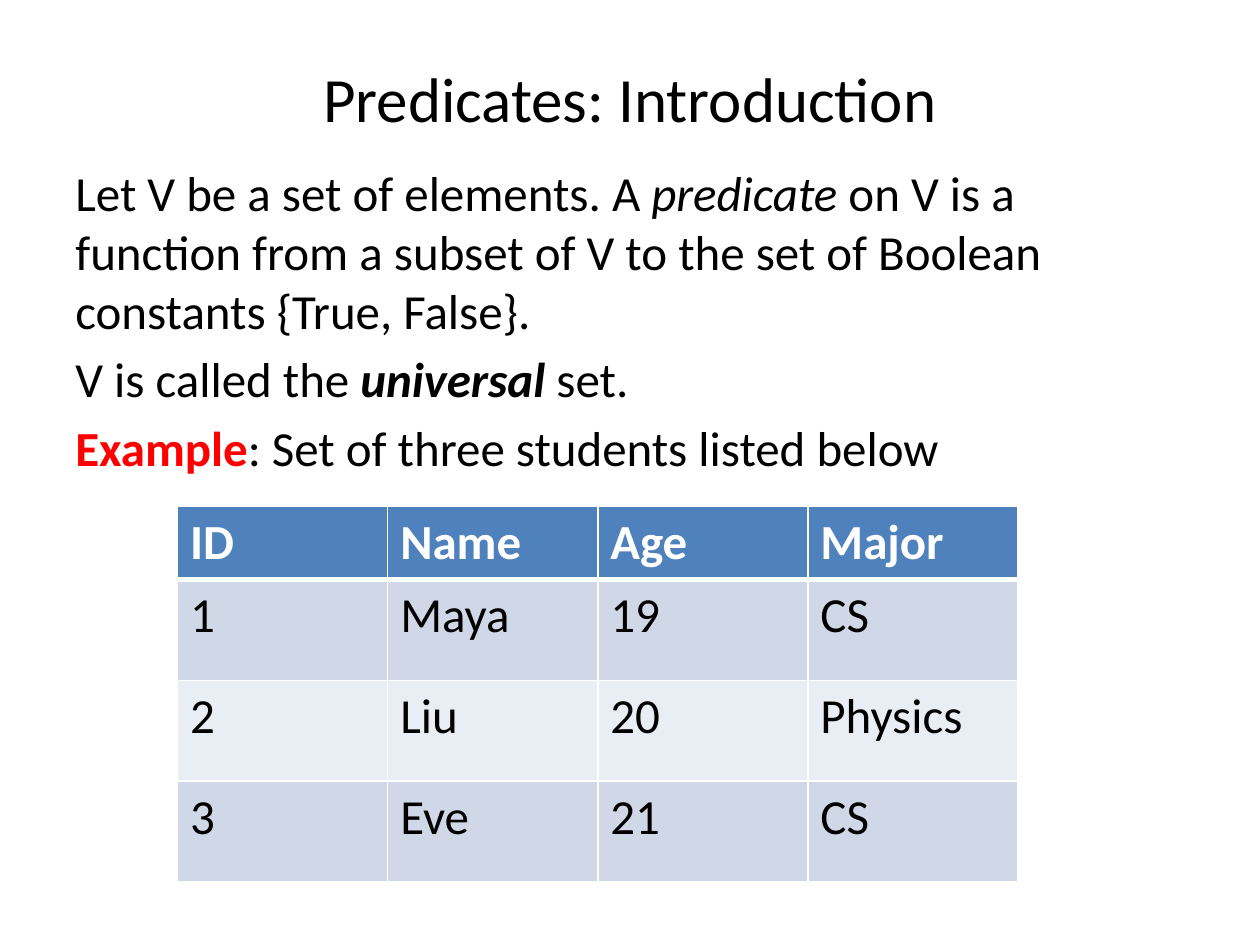
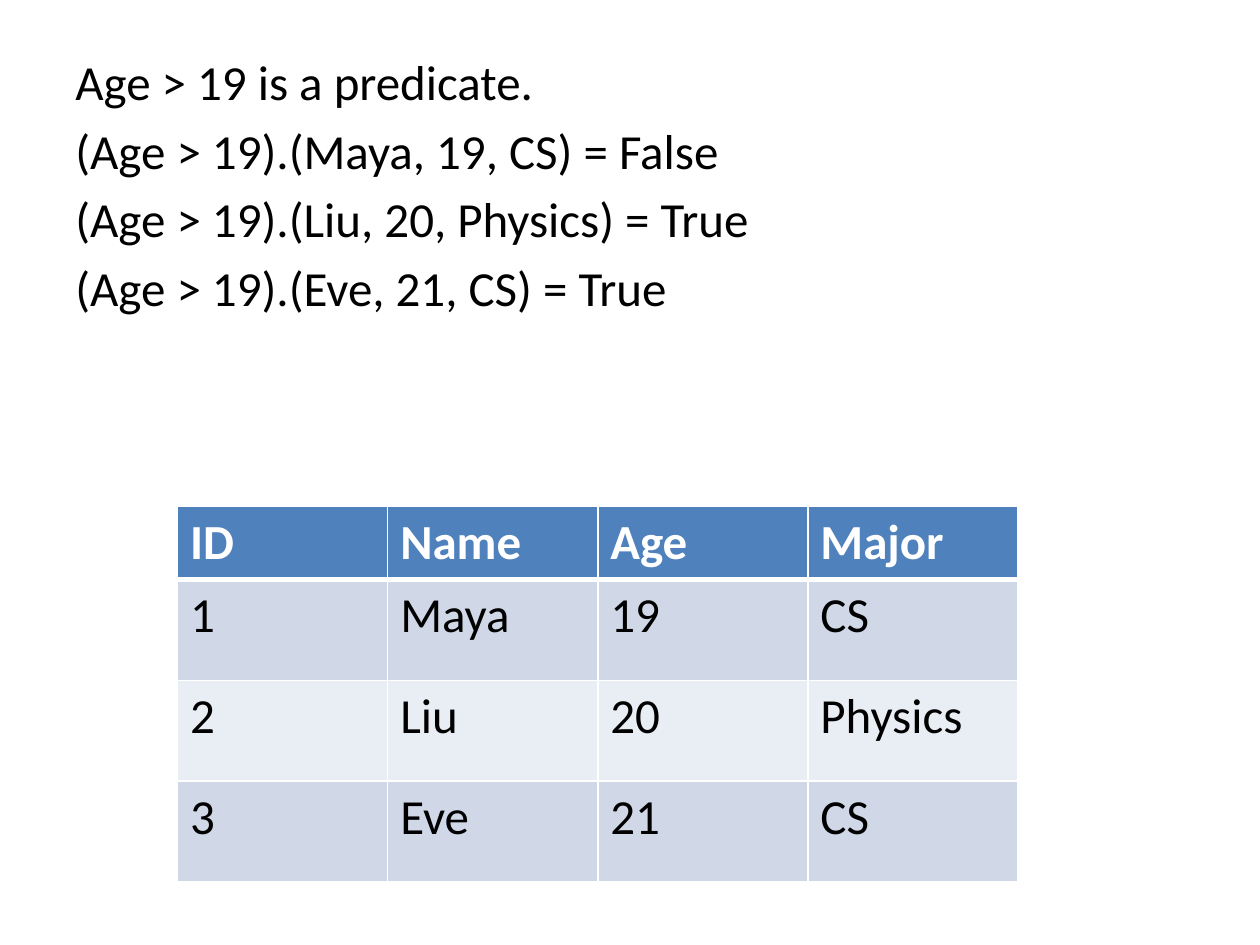
from lxml import etree
from pptx import Presentation
from pptx.dml.color import RGBColor
from pptx.enum import text as t
from pptx.oxml.ns import qn
from pptx.util import Inches, Pt

FONT, SIZE = "Calibri", 28
BLACK, WHITE, RED, BLUE = "000000", "FFFFFF", "FF0000", "4F81BD"
BANDS = ("D0D8E8", "E9EDF4")
GRID = (1.41, 4.02, 6.67, 2.98)
HEAD = 0.58
STUDENTS = [
    ("ID", "Name", "Age", "Major"),
    ("1", "Maya", "19", "CS"),
    ("2", "Liu", "20", "Physics"),
    ("3", "Eve", "21", "CS"),
]


def color(code):
    return RGBColor.from_string(code)


def style(run, size=SIZE, ink=BLACK, bold=False, italic=False):
    font = run.font
    font.name, font.size = FONT, Pt(size)
    font.bold, font.italic = bold, italic
    font.color.rgb = color(ink)


def frame(slide, box, anchor=t.MSO_ANCHOR.TOP):
    area = slide.shapes.add_textbox(*map(Inches, box)).text_frame
    area.word_wrap = True
    area.auto_size = t.MSO_AUTO_SIZE.NONE
    area.vertical_anchor = anchor
    return area


def title(slide, box, words):
    area = frame(slide, box, t.MSO_ANCHOR.MIDDLE)
    area.text = words
    para = area.paragraphs[0]
    para.alignment = t.PP_ALIGN.CENTER
    style(para.runs[0], 36)


def body(slide, box, lines):
    """Each line is a list of (words, look) pairs."""
    area = frame(slide, box)
    for i, line in enumerate(lines):
        para = area.add_paragraph() if i else area.paragraphs[0]
        para.space_before = Pt(SIZE * 0.2)
        for words, look in line:
            run = para.add_run()
            run.text = words
            style(run, **look)


def border(cell, widths):
    props = cell._tc.get_or_add_tcPr()
    for i, (side, width) in enumerate(widths.items()):
        line = etree.Element(qn("a:ln" + side), w=str(Pt(width)))
        fill = etree.SubElement(line, qn("a:solidFill"))
        etree.SubElement(fill, qn("a:srgbClr"), val=WHITE)
        props.insert(i, line)


def grid(slide, box, rows):
    count, span = len(rows), len(rows[0])
    table = slide.shapes.add_table(count, span, *map(Inches, box)).table
    for col in table.columns:
        col.width = Inches(box[2] / span)
    for r, row in enumerate(rows):
        high = (box[3] - HEAD) / (count - 1) if r else HEAD
        table.rows[r].height = Inches(high)
        for c, words in enumerate(row):
            cell = table.cell(r, c)
            cell.text = words
            style(cell.text_frame.paragraphs[0].runs[0],
                  ink=BLACK if r else WHITE, bold=r == 0)
            cell.fill.solid()
            cell.fill.fore_color.rgb = color(BANDS[(r - 1) % 2] if r else BLUE)
            # A thick rule parts the header from the rows
            border(cell, {"L": 1, "R": 1, "T": 3 if r == 1 else 1,
                          "B": 1 if r else 3})


deck = Presentation()
deck.slide_width, deck.slide_height = Inches(10), Inches(7.5)
blank = deck.slide_layouts[6]

# Definition and example set
intro = deck.slides.add_slide(blank)
title(intro, (0.5, 0.3, 9, 0.94), "Predicates: Introduction")
body(intro, (0.5, 1.24, 9, 2.78), [
    [("Let V be a set of elements. A ", {}),
     ("predicate", {"italic": True}),
     (" on V is a function from a subset of V to the set of Boolean "
      "constants {True, False}.", {})],
    [("V is called the ", {}),
     ("universal", {"bold": True, "italic": True}),
     (" set.", {})],
    [("Example", {"ink": RED, "bold": True}),
     (": Set of three students listed below", {})],
])
grid(intro, GRID, STUDENTS)

# Predicate applied to each student
cases = deck.slides.add_slide(blank)
claims = ["Age > 19 is a predicate."]
for _, name, age, major in STUDENTS[1:]:
    claims.append(f"(Age > 19).({name}, {age}, {major}) = {int(age) > 19}")
body(cases, (0.5, 0.36, 9, 3.39), [[(claim, {})] for claim in claims])
grid(cases, GRID, STUDENTS)

deck.save("out.pptx")
